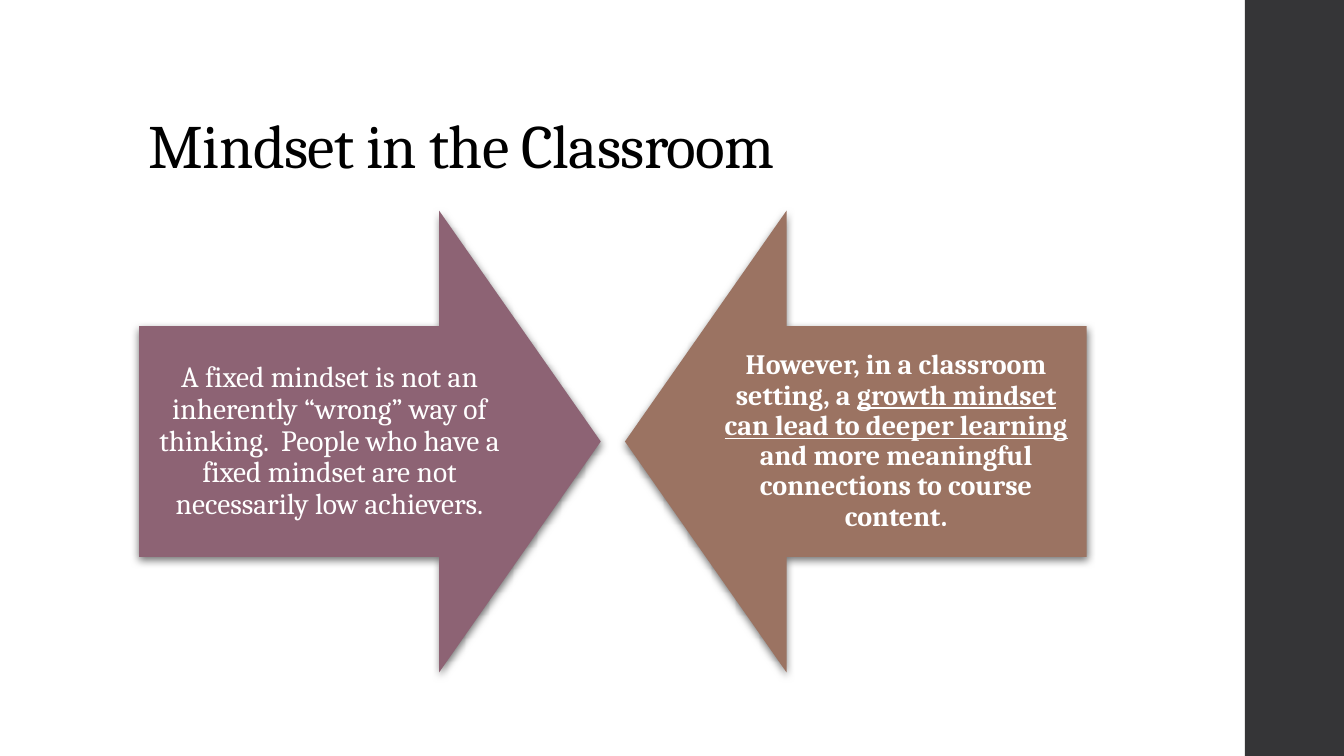
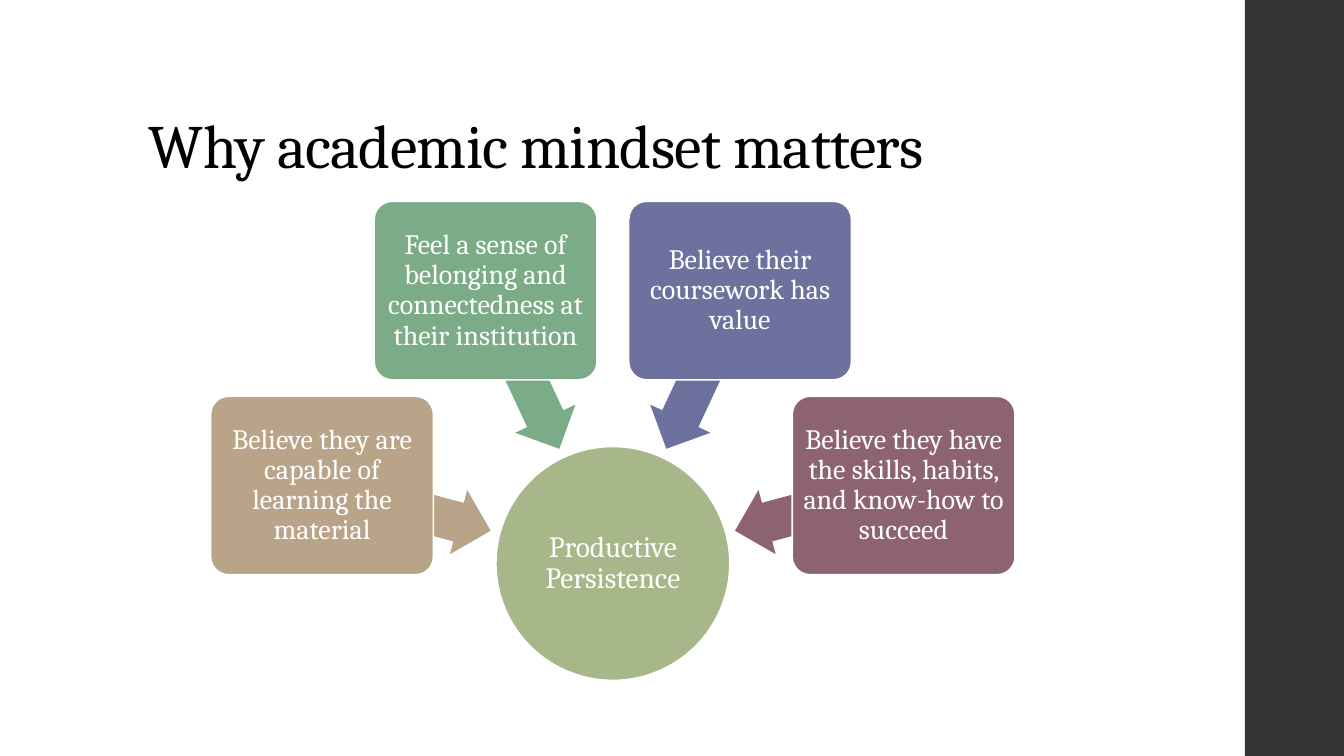
from dataclasses import dataclass
from math import cos, radians, sin

from lxml import etree
from pptx import Presentation
from pptx.dml.color import RGBColor
from pptx.enum.shapes import MSO_SHAPE
from pptx.enum.text import MSO_ANCHOR, PP_ALIGN
from pptx.oxml import parse_xml
from pptx.oxml.ns import nsdecls
from pptx.util import Inches, Pt

RECT, ROUND_RECT, OVAL = MSO_SHAPE.RECTANGLE, MSO_SHAPE.ROUNDED_RECTANGLE, MSO_SHAPE.OVAL
RIGHT_ARROW, LEFT_ARROW = MSO_SHAPE.RIGHT_ARROW, MSO_SHAPE.LEFT_ARROW
MIDDLE, BOTTOM = MSO_ANCHOR.MIDDLE, MSO_ANCHOR.BOTTOM
LEFT, CENTER = PP_ALIGN.LEFT, PP_ALIGN.CENTER

# Grid of square cells, three to the inch
COLS, ROWS = 40, 22.5


@dataclass(frozen=True)
class Theme:
    font: str = "Cambria"
    title_size: float = 44
    large: float = 21
    body: float = 20
    outline: float = 1.1
    spacing: float = 0.9
    black: str = "000000"
    white: str = "FFFFFF"
    band: str = "353537"
    plum: str = "8D6374"
    brown: str = "9B7362"
    olive: str = "A7B789"
    tan: str = "B9A489"
    green: str = "7BAC87"
    indigo: str = "6D719E"


T = Theme()


def cells(n):
    return Inches(n / 3)


def rgb(color):
    return RGBColor.from_string(color)


def box_around(x, y, w, h):
    """Left, top, width and height of a box centred on (x, y)."""
    return x - w / 2, y - h / 2, w, h


def add_block(s, kind, box, fill, outlined=False, adjust=(), angle=0):
    sp = s.shapes.add_shape(kind, *map(cells, box))
    sp.shadow.inherit = False
    sp.fill.solid()
    sp.fill.fore_color.rgb = rgb(fill)
    if outlined:
        sp.line.color.rgb = rgb(T.white)
        sp.line.width = Pt(T.outline)
    else:
        sp.line.fill.background()
    for i, value in enumerate(adjust):
        sp.adjustments[i] = value
    sp.rotation = angle
    return sp


def add_soft_shadow(sp):
    effects = sp._element.spPr.find("{*}effectLst")
    effects.append(parse_xml(
        f'<a:outerShdw {nsdecls("a")} blurRad="{Pt(6)}" dist="{Pt(2)}" '
        'dir="5400000" rotWithShape="0"><a:srgbClr val="000000">'
        '<a:alpha val="55000"/></a:srgbClr></a:outerShdw>'))


def write(sp, parts, size, color=T.white, align=CENTER, anchor=MIDDLE,
          inset=None, bold=None):
    """Write (text, underlined) parts as one paragraph."""
    tf = sp.text_frame
    tf.word_wrap = True
    tf.vertical_anchor = anchor
    if inset is not None:
        tf.margin_left = tf.margin_right = cells(inset)
        tf.margin_top = tf.margin_bottom = cells(inset)
    p = tf.paragraphs[0]
    p.alignment = align
    p.line_spacing = T.spacing
    for text, underlined in parts:
        r = p.add_run()
        r.text = text
        r.font.name, r.font.size = T.font, Pt(size)
        r.font.color.rgb = rgb(color)
        r.font.bold = bold
        r.font.underline = underlined or None
    return p


def add_slide(prs, title):
    """Slide with the shared side band and title."""
    s = prs.slides.add_slide(prs.slide_layouts[6])
    add_block(s, RECT, (37.05, 0, COLS - 37.05, ROWS), T.band)
    tb = s.shapes.add_textbox(*map(cells, (4.14, 1.2, 31.8, 4.35)))
    p = write(tb, [(title, False)], T.title_size, T.black, LEFT, BOTTOM)
    p.runs[0].font._element.set("spc", "-50")
    return s


def add_facing_arrows(s, arrows):
    size, gap = 13.74, 0.72
    for i, (kind, fill, parts, text_size, bold) in enumerate(arrows):
        box = (4.14 + i * (size + gap), 6.27, size, size)
        sp = add_block(s, kind, box, fill, adjust=(0.5, 0.35))
        add_soft_shadow(sp)
        write(sp, parts, text_size, inset=0.48, bold=bold)


def add_radial(s, hub, spokes):
    """Hub circle with boxes spread on an arc, each pointing at the hub."""
    x, y = 18.24, 16.77
    arrow_radius, box_radius = 6.36, 8.96
    first_angle, step = 195, 50

    circle = add_block(s, OVAL, box_around(x, y, 6.96, 6.96), T.olive, True)
    write(circle, [(hub, False)], T.large, inset=0.03)

    for i, (text, fill) in enumerate(spokes):
        angle = first_angle + i * step
        dx, dy = cos(radians(angle)), sin(radians(angle))
        arrow = box_around(x + arrow_radius * dx, y + arrow_radius * dy, 5.19, 1.98)
        add_block(s, LEFT_ARROW, arrow, fill, adjust=(0.6, 0.5), angle=angle)
        box = box_around(x + box_radius * dx, y + box_radius * dy, 6.63, 5.31)
        sp = add_block(s, ROUND_RECT, box, fill, True, adjust=(0.1,))
        write(sp, [(text, False)], T.body, inset=0.12)


def main():
    prs = Presentation()
    prs.slide_width, prs.slide_height = cells(COLS), cells(ROWS)

    # Fixed and growth mindset
    s = add_slide(prs, "Mindset in the Classroom")
    add_facing_arrows(s, [
        (RIGHT_ARROW, T.plum,
         [("A fixed mindset is not an inherently “wrong” way of thinking.  "
           "People who have a fixed mindset are not necessarily low achievers.",
           False)], T.large, None),
        (LEFT_ARROW, T.brown,
         [("However, in a classroom setting, a ", False),
          ("growth mindset can lead to deeper learning", True),
          (" and more meaningful connections to course content.", False)],
         T.body, True),
    ])

    # Beliefs that lead to persistence
    s = add_slide(prs, "Why academic mindset matters")
    add_radial(s, "Productive Persistence", [
        ("Believe they are capable of learning the material", T.tan),
        ("Feel a sense of belonging and connectedness at their institution", T.green),
        ("Believe their coursework has value", T.indigo),
        ("Believe they have the skills, habits, and know-how to succeed", T.plum),
    ])

    prs.save("out.pptx")


main()
